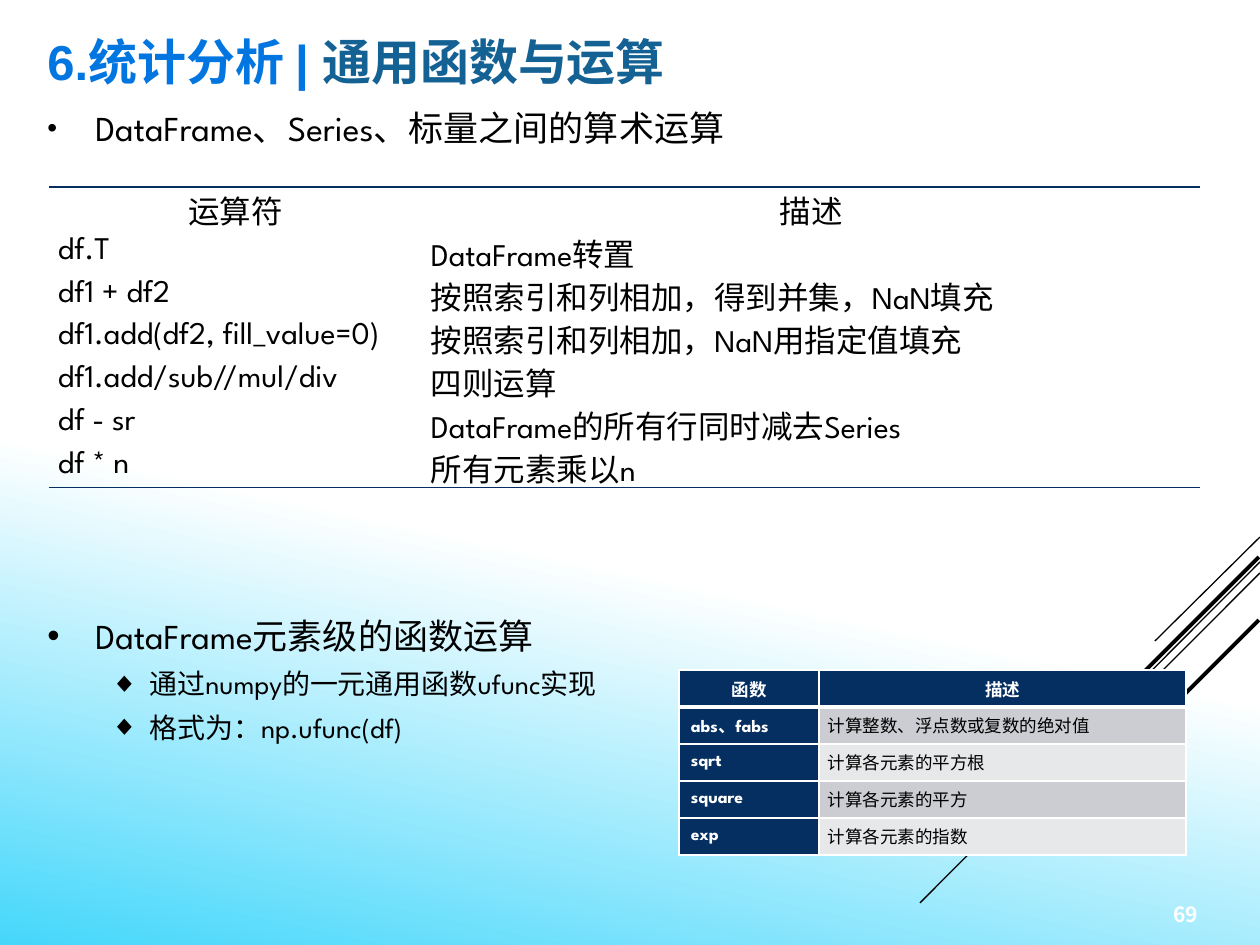
from lxml import etree
from pptx import Presentation
from pptx.dml.color import RGBColor
from pptx.enum.shapes import MSO_CONNECTOR
from pptx.enum.text import MSO_ANCHOR, PP_ALIGN
from pptx.oxml.ns import qn
from pptx.util import Pt

LINE = MSO_CONNECTOR.STRAIGHT
MIDDLE, TOP = MSO_ANCHOR.MIDDLE, MSO_ANCHOR.TOP
LEFT, CENTER = PP_ALIGN.LEFT, PP_ALIGN.CENTER
PX = 914400 // 126
LATIN, CJK, HEAD = "League Spartan", "Noto Sans CJK SC", "Arial"
NO_STYLE = "{2D5ABB26-0587-4C30-8999-92F81FD0307C}"
HEX = {"black": "000000", "white": "FFFFFF", "navy": "052F61", "sky": "45D7FB",
       "blue": "0276E0", "teal": "146194", "dark": "CCCDD2", "light": "E7E8EA"}

# Content
TITLE = [("6.统计分析 | ", "blue"), ("通用函数与运算", "teal")]
# text, size, left margin, hang, bullet, bullet percent
ARITH = [("DataFrame、Series、标量之间的算术运算", 20, 48, 48, "•", 80)]
UFUNC = [("DataFrame元素级的函数运算", 20, 48, 48, "•", 100),
         ("通过numpy的一元通用函数ufunc实现", 16, 102, 39, "◆", 100),
         ("格式为：np.ufunc(df)", 16, 102, 39, "◆", 100)]
OPS = [("运算符", "描述"),
       ("df.T", "DataFrame转置"),
       ("df1 + df2", "按照索引和列相加，得到并集，NaN填充"),
       ("df1.add(df2, fill_value=0)", "按照索引和列相加，NaN用指定值填充"),
       ("df1.add/sub//mul/div", "四则运算"),
       ("df - sr", "DataFrame的所有行同时减去Series"),
       ("df * n", "所有元素乘以n")]
FUNCS = [("函数", "描述"),
         ("abs、fabs", "计算整数、浮点数或复数的绝对值"),
         ("sqrt", "计算各元素的平方根"),
         ("square", "计算各元素的平方"),
         ("exp", "计算各元素的指数")]
# x1, y1, x2, y2, points
RAYS = [(1260, 537, 1155, 641, 0.75), (1260, 562, 920, 903, 0.75),
        (1260, 573, 1043, 790, 0.75), (1259, 557, 1061, 755, 2.25),
        (1259, 620, 1115, 764, 2.25)]


def rgb(name):
    return RGBColor.from_string(HEX[name])


def style(par, size, color, bold=False, face=LATIN):
    font = par.font
    font.size, font.bold, font.name = Pt(size), bold, face
    font.color.rgb = rgb(color)
    for node in par._p.iter(qn("a:defRPr")):
        east = etree.Element(qn("a:ea"), typeface=CJK)
        node.find(qn("a:latin")).addnext(east)


def bullet(par, left, hang, char, pct):
    props = par._p.get_or_add_pPr()
    props.set("marL", str(left * PX))
    props.set("indent", str(-hang * PX))
    color = etree.SubElement(props, qn("a:buClr"))
    etree.SubElement(color, qn("a:srgbClr"), val=HEX["black"])
    etree.SubElement(props, qn("a:buSzPct"), val=str(pct * 1000))
    etree.SubElement(props, qn("a:buFont"), typeface=HEAD)
    etree.SubElement(props, qn("a:buChar"), char=char)


def add_box(slide, x, y, w, h, anchor):
    box = slide.shapes.add_textbox(x * PX, y * PX, w * PX, h * PX)
    frame = box.text_frame
    frame.word_wrap = True
    frame.vertical_anchor = anchor
    return frame


def add_list(slide, x, y, w, h, items):
    frame = add_box(slide, x, y, w, h, TOP)
    for i, (text, size, left, hang, char, pct) in enumerate(items):
        par = frame.add_paragraph() if i else frame.paragraphs[0]
        par.text = text
        par.line_spacing = 1.2
        if i:
            par.space_before = Pt(2)
        bullet(par, left, hang, char, pct)
        style(par, size, "black")


def border(cell, side, color, width):
    edge = etree.SubElement(cell._tc.get_or_add_tcPr(), qn("a:ln" + side),
                            w=str(Pt(width)))
    fill = etree.SubElement(edge, qn("a:solidFill"))
    etree.SubElement(fill, qn("a:srgbClr"), val=HEX[color])


def add_grid(slide, x, y, cols, step, data, dress):
    table = slide.shapes.add_table(len(data), len(cols), x * PX, y * PX,
                                   sum(cols) * PX, step * len(data) * PX).table
    table._tbl.tblPr.find(qn("a:tableStyleId")).text = NO_STYLE
    table.first_row = table.horz_banding = False
    for c, w in enumerate(cols):
        table.columns[c].width = w * PX
    for r, row in enumerate(data):
        table.rows[r].height = step * PX
        for c, text in enumerate(row):
            cell = table.cell(r, c)
            cell.margin_left = cell.margin_right = 9 * PX
            cell.margin_top = cell.margin_bottom = 0
            cell.vertical_anchor = MIDDLE
            par = cell.text_frame.paragraphs[0]
            par.text = text
            par.alignment = LEFT if r else CENTER
            dress(cell, par, r, c)


def dress_ops(cell, par, r, c):
    if r == 0:
        border(cell, "T", "navy", 1)
    if r == len(OPS) - 1:
        border(cell, "B", "navy", 1)
    cell.fill.background()
    style(par, 18, "black")


def dress_func(cell, par, r, c):
    for side in "LRTB":
        thick = (r, side) in ((0, "B"), (1, "T"))
        border(cell, side, "white", 3 if thick else 1)
    head = r == 0 or c == 0
    cell.fill.solid()
    cell.fill.fore_color.rgb = rgb("navy" if head else "dark" if r % 2 else "light")
    if r and c == 0:
        cell.margin_left = 12 * PX
    style(par, 10, "white" if head else "black", head)


def main():
    deck = Presentation()
    deck.slide_width, deck.slide_height = 1260 * PX, 945 * PX
    slide = deck.slides.add_slide(deck.slide_layouts[6])

    # Background
    fill = slide.background.fill
    fill.gradient()
    fill.gradient_angle = 258
    for stop, (pos, color) in zip(fill.gradient_stops, [(0.58, "white"), (1, "sky")]):
        stop.position, stop.color.rgb = pos, rgb(color)

    # Corner rays
    for x1, y1, x2, y2, width in RAYS:
        ray = slide.shapes.add_connector(LINE, x1 * PX, y1 * PX, x2 * PX, y2 * PX)
        ray.line.color.rgb = rgb("black")
        ray.line.width = Pt(width)
        etree.SubElement(ray._element.spPr, qn("a:effectLst"))

    # Page number
    par = add_box(slide, 1161, 895, 88, 39, MIDDLE).paragraphs[0]
    par.text = "69"
    style(par, 12, "white", True, CJK)

    # Title
    par = add_box(slide, 35, 0, 1081, 110, MIDDLE).paragraphs[0]
    par.line_spacing = 1.2
    style(par, 28, "blue", True, HEAD)
    for text, color in TITLE:
        run = par.add_run()
        run.text = text
        run.font.color.rgb = rgb(color)

    # Lists and tables
    add_list(slide, 35, 92, 1201, 74, ARITH)
    add_grid(slide, 49, 187, [373, 778], 43, OPS, dress_ops)
    add_list(slide, 35, 600, 1181, 212, UFUNC)
    add_grid(slide, 679, 670, [140, 367], 37, FUNCS, dress_func)

    deck.save("out.pptx")


if __name__ == "__main__":
    main()
